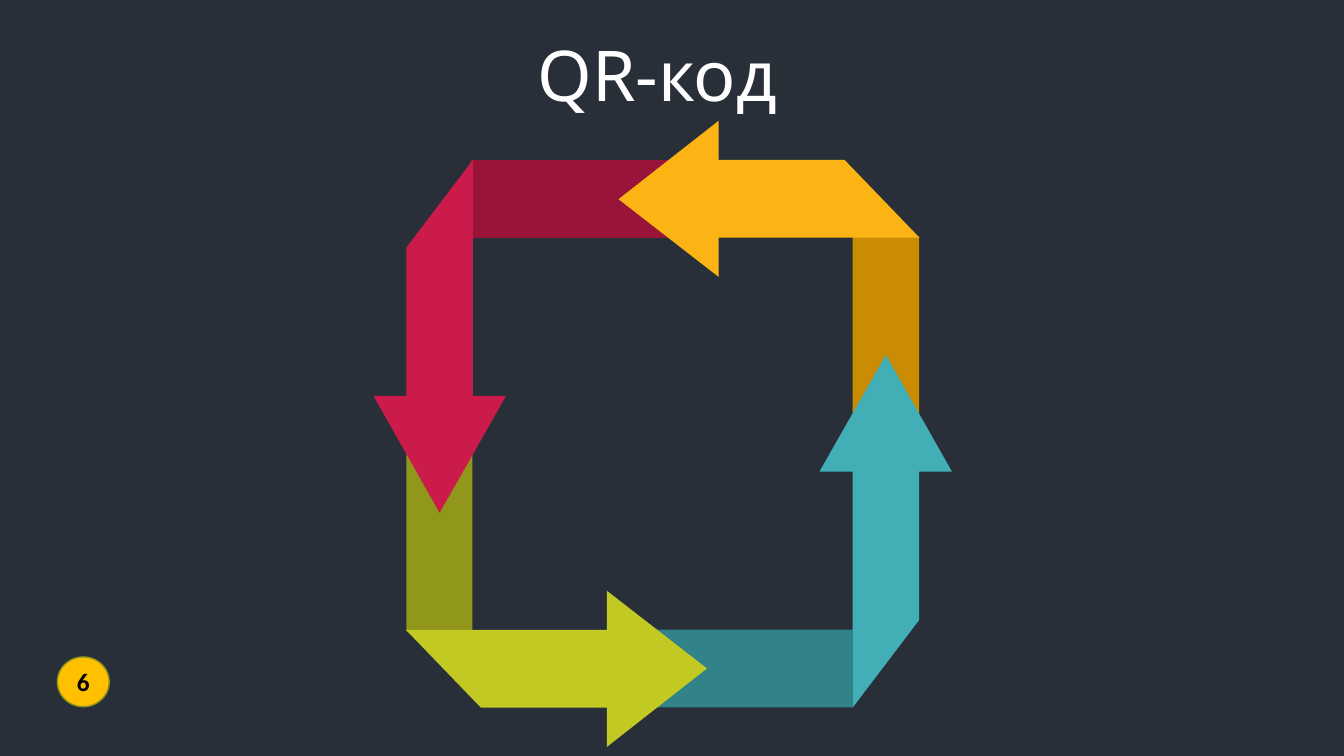
"""Build a slide with a cycle of four folded arrows under a title."""
from pptx import Presentation
from pptx.dml.color import RGBColor
from pptx.enum.shapes import MSO_SHAPE
from pptx.enum.text import MSO_ANCHOR, PP_ALIGN
from pptx.util import Pt

RECT = MSO_SHAPE.RECTANGLE
CIRCLE = MSO_SHAPE.FLOWCHART_CONNECTOR
MIDDLE = MSO_ANCHOR.MIDDLE
CENTER = PP_ALIGN.CENTER


def paint(shape, color):
    shape.shadow.inherit = False
    shape.fill.solid()
    shape.fill.fore_color.rgb = RGBColor.from_string(color)
    shape.line.fill.background()


def write(shape, text, font, size, color, bold=False):
    tf = shape.text_frame
    tf.word_wrap = True
    tf.vertical_anchor = MIDDLE
    tf.margin_left = tf.margin_right = tf.margin_top = tf.margin_bottom = 0
    p = tf.paragraphs[0]
    p.text = text
    p.alignment = CENTER
    p.font.name, p.font.size, p.font.bold = font, Pt(size), bold
    p.font.color.rgb = RGBColor.from_string(color)


prs = Presentation()
prs.slide_width, prs.slide_height = Pt(960), Pt(540)
s = prs.slides.add_slide(prs.slide_layouts[6])
s.background.fill.solid()
s.background.fill.fore_color.rgb = RGBColor.from_string("282F39")

title = s.shapes.add_textbox(Pt(95), Pt(18.7), Pt(762), Pt(67.7))
write(title, "QR-код ", "Noto Sans", 50, "FFFFFF")

CX, CY = 473.4, 309.9
up = [(632.8, 253.5), (585.3, 337), (609, 337), (609, 505.5),
      (656.5, 443), (656.5, 337), (680, 337)]
right = [(505, 477.5), (433.5, 422), (433.5, 450), (290, 450),
         (343.5, 505.5), (433.5, 505.5), (433.5, 533.5)]
left, down = [[(2 * CX - x, 2 * CY - y) for x, y in arrow] for arrow in (right, up)]

parts = [
    ("C98C03", (609, 169, 47.5, 139), None, None),
    ("318389", (448, 449.7, 161, 55.6), "42AFB6", up),
    ("91971A", (290.2, 295, 47.3, 156), "C2C923", right),
    ("981438", (336.2, 114.4, 161, 55.6), "FCB414", left),
    (None, None, "CB1B4A", down),
]
for band_color, band, arrow_color, arrow in parts:
    if band:
        sp = s.shapes.add_shape(RECT, *map(Pt, band))
        paint(sp, band_color)
    if arrow:
        points = [(Pt(x), Pt(y)) for x, y in arrow]
        builder = s.shapes.build_freeform(*points[0])
        builder.add_line_segments(points[1:], close=True)
        paint(builder.convert_to_shape(), arrow_color)

number = s.shapes.add_shape(CIRCLE, Pt(41), Pt(469.3), Pt(37), Pt(35.5))
paint(number, "FFC000")
number.line.color.rgb = RGBColor.from_string("90951A")
number.line.width = Pt(1)
write(number, "6", "Calibri", 18, "000000", bold=True)

prs.save("out.pptx")
